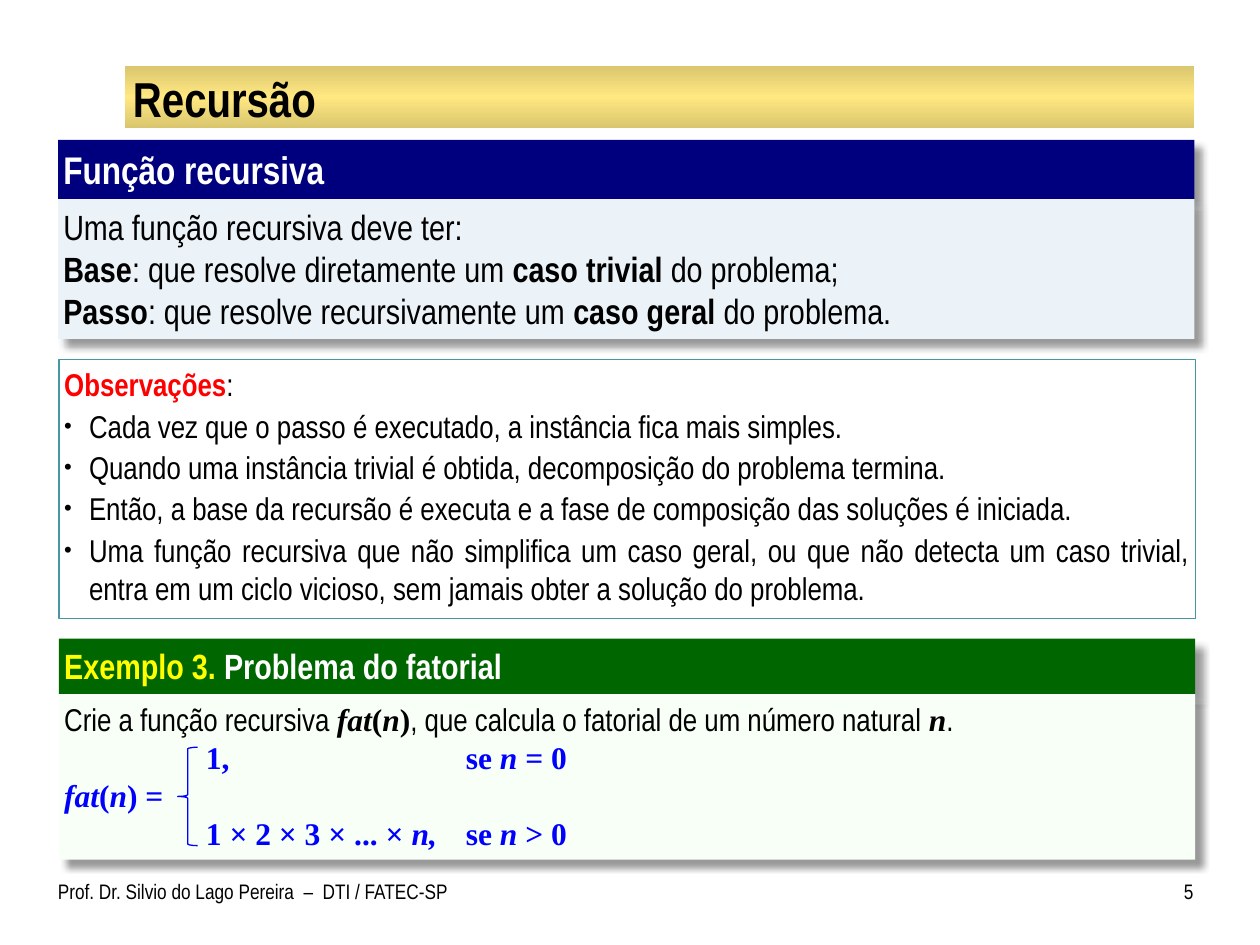
"""Build the slide that defines recursive functions."""
from lxml import etree
from pptx import Presentation
from pptx.dml.color import RGBColor
from pptx.enum.shapes import MSO_SHAPE
from pptx.enum.text import MSO_ANCHOR, MSO_AUTO_SIZE, PP_ALIGN
from pptx.oxml import parse_xml
from pptx.oxml.ns import qn
from pptx.util import Pt

RECT, BRACE = MSO_SHAPE.RECTANGLE, MSO_SHAPE.LEFT_BRACE
TOP, MIDDLE = MSO_ANCHOR.TOP, MSO_ANCHOR.MIDDLE
LEFT, RIGHT, JUSTIFY = PP_ALIGN.LEFT, PP_ALIGN.RIGHT, PP_ALIGN.JUSTIFY
NO_FIT = MSO_AUTO_SIZE.NONE
NS = "http://schemas.openxmlformats.org/drawingml/2006/main"
SANS, SERIF = "Arial Narrow", "Times New Roman"

THEME = {
    "fill": {"navy": "00007E", "ice": "EBF3F9", "green": "006600", "mint": "F7FFF7"},
    "line": {"teal": "4597A0", "blue": "0000FF"},
    "gold": [(0, "DAC66E"), (50, "FFE781"), (100, "DAC66E")],
    "text": {
        "title": (28, SANS, "000000", True, False),
        "heading": (22, SANS, "FFFFFF", True, False),
        "body": (20, SANS, "000000", False, False),
        "strong": (20, SANS, "000000", True, False),
        "label": (18, SANS, "FF0000", True, False),
        "note": (18, SANS, "000000", False, False),
        "number": (20, SANS, "FFFF00", True, False),
        "example": (20, SANS, "FFFFFF", True, False),
        "math": (18, SERIF, "000000", True, False),
        "var": (18, SERIF, "000000", True, True),
        "formula": (18, SERIF, "0000FF", True, False),
        "symbol": (18, SERIF, "0000FF", True, True),
        "footer": (12, SANS, "000000", False, False),
    },
}


def write(sp, paragraphs, align=LEFT, insets=(3, 3.6, 3, 3.6), anchor=TOP):
    """Fill a shape with paragraphs given as lists of (text, style) runs."""
    tf = sp.text_frame
    tf.word_wrap = True
    tf.auto_size = NO_FIT
    tf.vertical_anchor = anchor
    tf.margin_left, tf.margin_top, tf.margin_right, tf.margin_bottom = map(Pt, insets)
    for i, runs in enumerate(paragraphs):
        p = tf.add_paragraph() if i else tf.paragraphs[0]
        p.alignment = align
        for text, style in runs:
            size, font, color, bold, italic = THEME["text"][style]
            r = p.add_run()
            r.text = text
            r.font.size, r.font.name = Pt(size), font
            r.font.bold, r.font.italic = bold, italic
            r.font.color.rgb = RGBColor.from_string(color)
    return tf


def shape(kind, left, top, width, height, fill=None, line=None):
    """Add a shape; filled ones cast a soft shadow."""
    sp = s.shapes.add_shape(kind, Pt(left), Pt(top), Pt(width), Pt(height))
    if line:
        sp.fill.background()
        sp.line.color.rgb = RGBColor.from_string(THEME["line"][line])
        sp.line.width = Pt(0.75)
    else:
        sp.fill.solid()
        sp.fill.fore_color.rgb = RGBColor.from_string(THEME["fill"][fill])
        sp.line.fill.background()
    sp.shadow.inherit = False
    if fill:
        effects = sp._element.spPr.find(qn("a:effectLst"))
        effects.append(parse_xml(
            f'<a:outerShdw xmlns:a="{NS}" blurRad="{Pt(4)}" dist="{Pt(6)}" dir="2700000" '
            'algn="tl" rotWithShape="0"><a:srgbClr val="000000"><a:alpha val="40000"/>'
            '</a:srgbClr></a:outerShdw>'))
    return sp


prs = Presentation()
prs.slide_width, prs.slide_height = Pt(720), Pt(540)
s = prs.slides.add_slide(prs.slide_layouts[5])

title = s.shapes.title
title.left, title.top, title.width, title.height = Pt(71.4), Pt(37.6), Pt(611), Pt(35.6)
stops = "".join(f'<a:gs pos="{pos * 1000}"><a:srgbClr val="{color}"/></a:gs>'
                for pos, color in THEME["gold"])
title._element.spPr.append(parse_xml(
    f'<a:gradFill xmlns:a="{NS}" rotWithShape="1"><a:gsLst>{stops}</a:gsLst>'
    '<a:lin ang="5400000" scaled="0"/></a:gradFill>'))
write(title, [[("Recursão", "title")]], insets=(4.6, 2, 4.6, 0.7), anchor=MIDDLE)

write(shape(RECT, 33.2, 80, 649.3, 33.8, "navy"), [[("Função recursiva", "heading")]])
write(shape(RECT, 33.2, 113.8, 649.3, 79.8, "ice"), [
    [("Uma função recursiva deve ter:", "body")],
    [("Base", "strong"), (": que resolve diretamente um ", "body"),
     ("caso trivial", "strong"), (" do problema;", "body")],
    [("Passo", "strong"), (": que resolve recursivamente um ", "body"),
     ("caso geral", "strong"), (" do problema.", "body")],
], JUSTIFY)

notes = [
    "Cada vez que o passo é executado, a instância fica mais simples.",
    "Quando uma instância trivial é obtida, decomposição do problema termina.",
    "Então, a base da recursão é executa e a fase de composição das soluções é iniciada.",
    "Uma função recursiva que não simplifica um caso geral, ou que não detecta um caso "
    "trivial, entra em um ciclo vicioso, sem jamais obter a solução do problema.",
]
tf = write(shape(RECT, 33.7, 205.3, 649.3, 148.2, line="teal"),
           [[("Observações", "label"), (":", "note")]] + [[(note, "note")] for note in notes],
           JUSTIFY)
for p in tf.paragraphs[1:]:
    p.space_before = Pt(2)
    pPr = p._p.get_or_add_pPr()
    pPr.set("marL", str(Pt(14.2)))
    pPr.set("indent", str(-Pt(14.2)))
    etree.SubElement(pPr, qn("a:buSzPct")).set("val", "70000")
    etree.SubElement(pPr, qn("a:buFont")).set("typeface", "Arial")
    etree.SubElement(pPr, qn("a:buChar")).set("char", "•")

write(shape(RECT, 33.7, 365, 649.3, 31.7, "green"),
      [[("Exemplo 3.", "number"), (" Problema do fatorial", "example")]])
tf = write(shape(RECT, 33.7, 396.7, 649.3, 94.5, "mint"), [
    [("Crie a função recursiva ", "note"), ("fat", "var"), ("(", "math"), ("n", "var"),
     (")", "math"), (", que calcula o fatorial de um número natural ", "note"),
     ("n", "var"), (".", "note")],
    [("\t1,\tse ", "formula"), ("n ", "symbol"), ("= 0", "formula")],
    [("fat", "symbol"), ("(", "formula"), ("n", "symbol"), (") =", "formula")],
    [("\t1 × 2 × 3 × ... × ", "formula"), ("n,", "symbol"), ("\tse", "formula"),
     (" n ", "symbol"), ("> 0", "formula")],
])
for p in tf.paragraphs[1::2]:
    tabs = etree.SubElement(p._p.get_or_add_pPr(), qn("a:tabLst"))
    for pos in (81, 229.5):
        tab = etree.SubElement(tabs, qn("a:tab"))
        tab.set("pos", str(Pt(pos)))
        tab.set("algn", "l")
shape(BRACE, 101.5, 427, 11.5, 56.2, line="blue")

for left, width, text, align, insets in (
    (33.1, 235.5, "Prof. Dr. Silvio do Lago Pereira  –  DTI / FATEC-SP", LEFT, (0, 3.6, 7.2, 3.6)),
    (653.8, 28.1, "5", RIGHT, (7.2, 3.6, 0, 3.6)),
):
    sp = s.shapes.add_textbox(Pt(left), Pt(498.2), Pt(width), Pt(30.2))
    write(sp, [[(text, "footer")]], align, insets)

prs.save("out.pptx")
